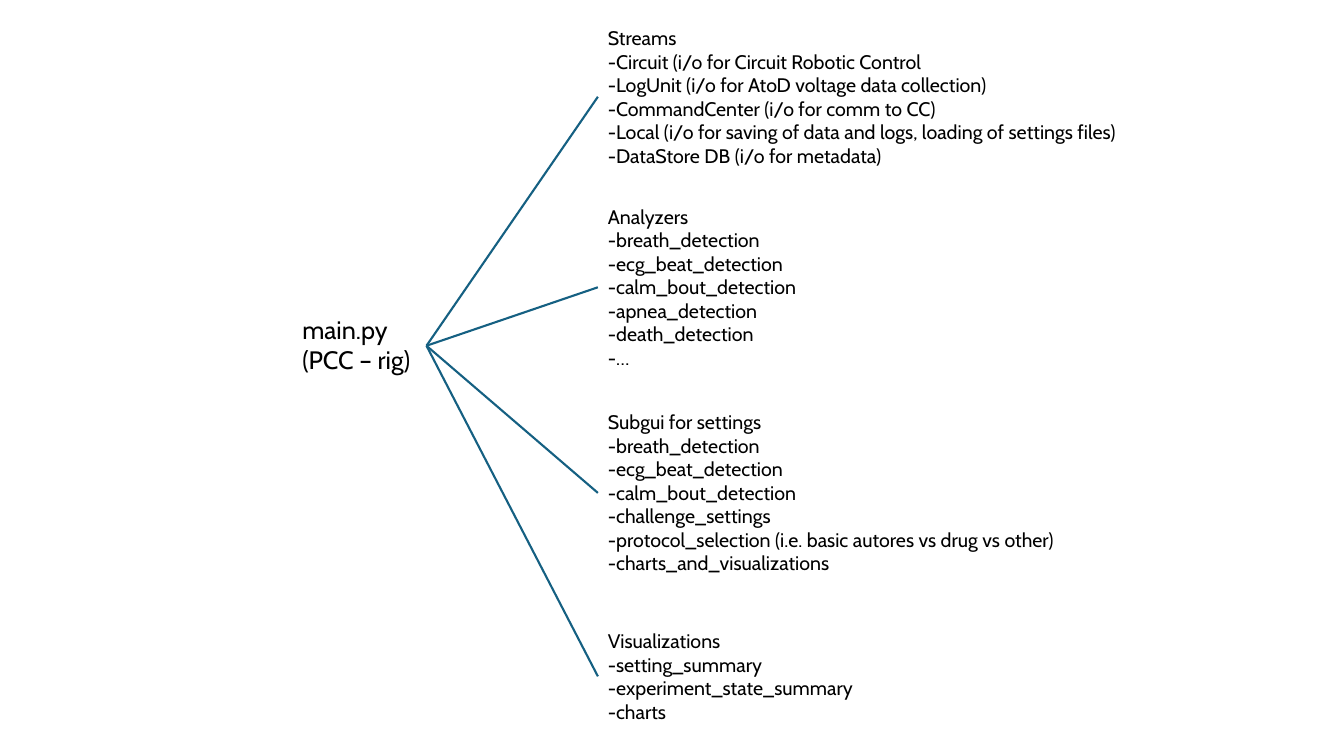
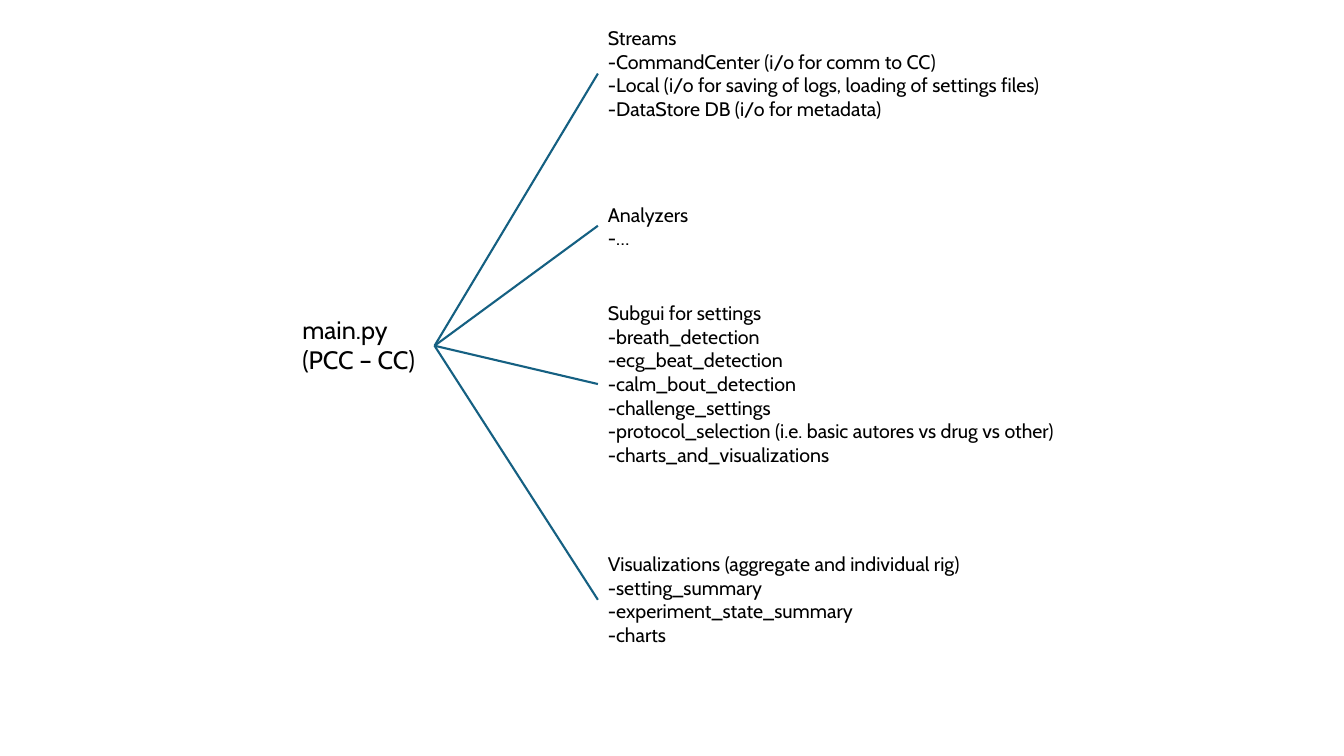
from lxml.etree import SubElement
from pptx import Presentation
from pptx.dml.color import RGBColor
from pptx.enum.shapes import MSO_CONNECTOR as Link
from pptx.enum.text import MSO_AUTO_SIZE as Fit
from pptx.oxml.ns import qn
from pptx.util import Pt

PX = 9144  # 100 px to the inch
FONT, INK, BLUE = "Cabin", "000000", "156082"
ROOT_X, ROOT_Y, ROOT_H = 290, 307, 71
LEAF_X = 593

SUBGUI = [
    "Subgui for settings",
    "-breath_detection",
    "-ecg_beat_detection",
    "-calm_bout_detection",
    "-challenge_settings",
    "-protocol_selection (i.e. basic autores vs drug vs other)",
    "-charts_and_visualizations",
]
VISUALS = ["-setting_summary", "-experiment_state_summary", "-charts"]
CENTER = "-CommandCenter (i/o for comm to CC)"
META = "-DataStore DB (i/o for metadata)"

# Each tree: root lines, root width, then (top, width, lines) for each leaf
TREES = [
    (["main.py", "(PCC – rig)"], 133, [
        (21, 537, [
            "Streams",
            "-Circuit (i/o for Circuit Robotic Control",
            "-LogUnit (i/o for AtoD voltage data collection)",
            CENTER,
            "-Local (i/o for saving of data and logs, loading of settings files)",
            META,
        ]),
        (198, 208, [
            "Analyzers",
            "-breath_detection",
            "-ecg_beat_detection",
            "-calm_bout_detection",
            "-apnea_detection",
            "-death_detection",
            "-…",
        ]),
        (402, 481, SUBGUI),
        (619, 264, ["Visualizations"] + VISUALS),
    ]),
    (["main.py", "(PCC – CC)"], 141, [
        (21, 458, [
            "Streams",
            CENTER,
            "-Local (i/o for saving of logs, loading of settings files)",
            META,
        ]),
        (196, 102, ["Analyzers", "-…"]),
        (294, 481, SUBGUI),
        (543, 384, ["Visualizations (aggregate and individual rig)"] + VISUALS),
    ]),
]


def color(text):
    return RGBColor.from_string(text)


def add_text(slide, box, lines, size):
    shape = slide.shapes.add_textbox(*(n * PX for n in box))
    frame = shape.text_frame
    frame.word_wrap = False
    frame.auto_size = Fit.SHAPE_TO_FIT_TEXT
    frame.text = "\n".join(lines)
    for para in frame.paragraphs:
        para.font.name = FONT
        para.font.size = Pt(size)
        para.font.color.rgb = color(INK)


def add_line(slide, start, end):
    line = slide.shapes.add_connector(
        Link.STRAIGHT, *(n * PX for n in (*start, *end)))
    line.line.color.rgb = color(BLUE)
    line.line.width = Pt(1.5)
    SubElement(line._element.spPr, qn("a:effectLst"))


def add_leaf(slide, start, top, width, lines):
    """Place one text group and join the middle of its left side to start."""
    height = 10 + (47 * len(lines) + 1) // 2
    add_text(slide, (LEAF_X, top, width, height), lines, 14)
    add_line(slide, start, (LEAF_X, top + height // 2))


def add_tree(deck, root, width, leaves):
    slide = deck.slides.add_slide(deck.slide_layouts[6])
    add_text(slide, (ROOT_X, ROOT_Y, width, ROOT_H), root, 18)
    start = (ROOT_X + width, ROOT_Y + ROOT_H // 2 + 1)
    for leaf in leaves:
        add_leaf(slide, start, *leaf)


def main():
    deck = Presentation()
    deck.slide_width, deck.slide_height = 1333 * PX, 750 * PX
    for tree in TREES:
        add_tree(deck, *tree)
    deck.save("out.pptx")


if __name__ == "__main__":
    main()
